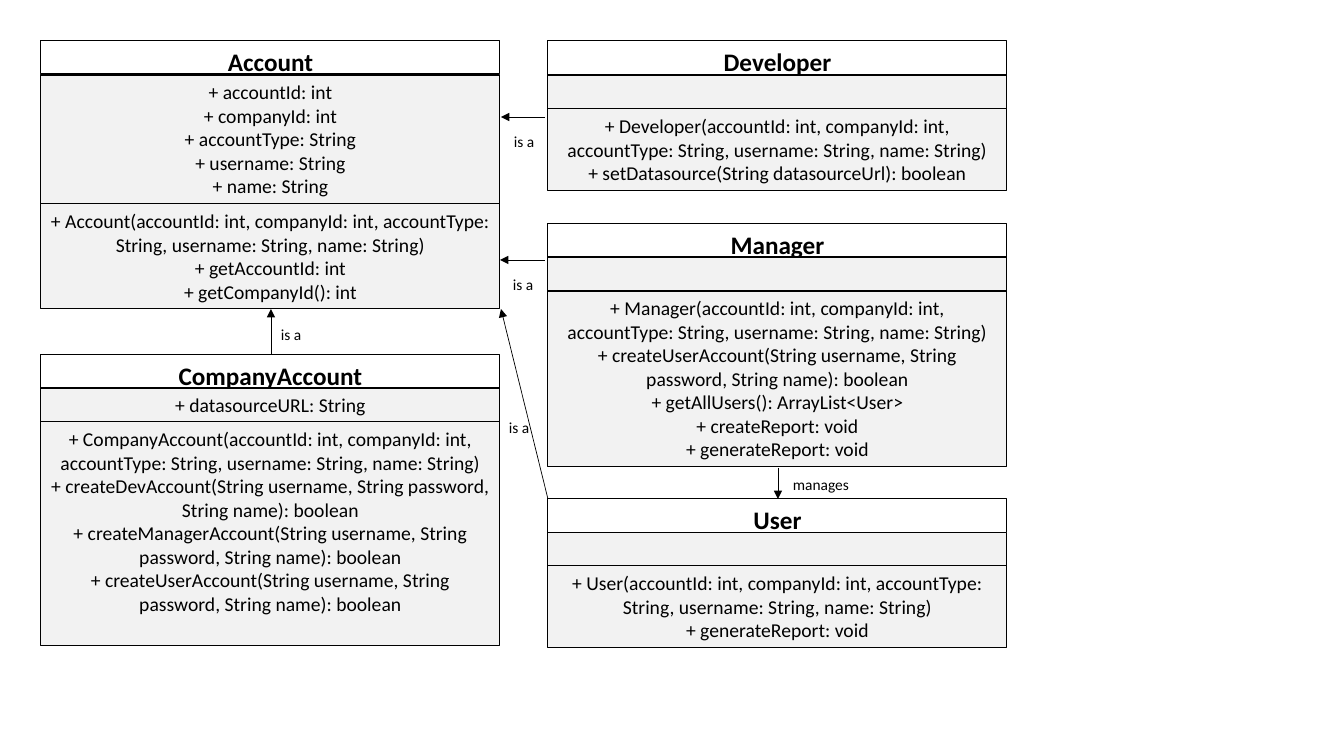
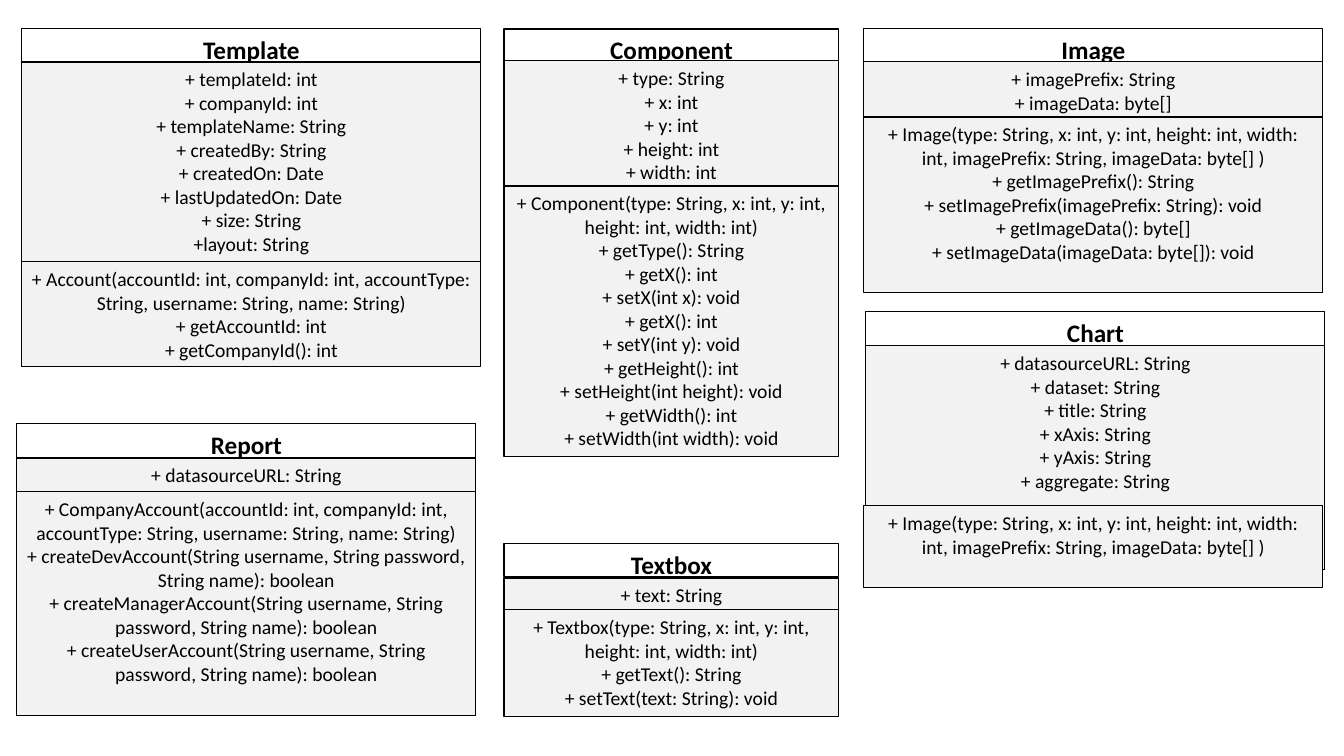
from dataclasses import dataclass

from lxml.etree import SubElement
from pptx import Presentation
from pptx.dml.color import RGBColor
from pptx.enum.shapes import MSO_CONNECTOR as CONN, MSO_SHAPE as SHAPE
from pptx.enum.text import MSO_ANCHOR as ANCHOR, PP_ALIGN as ALIGN
from pptx.oxml.ns import qn
from pptx.util import Emu, Pt

EMU_PER_PX = 914400 / 100.8


def px(n: float) -> Emu:
    return Emu(round(n * EMU_PER_PX))


# Theme
@dataclass(frozen=True)
class Theme:
    font: str = "Calibri"
    ink: RGBColor = RGBColor(0, 0, 0)
    section_fill: RGBColor = RGBColor(0xF2, 0xF2, 0xF2)
    name_size: int = 18
    member_size: int = 14
    label_size: int = 11
    box_line: float = 0.75
    arrow_line: float = 0.5


THEME = Theme()
WIDE, NARROW = 459, 335
LABEL_H = 29


# Diagram elements
@dataclass(frozen=True)
class Section:
    y: int
    h: int
    lines: tuple[str, ...] = ()
    dx: int = 0


@dataclass(frozen=True)
class UmlClass:
    name: str
    x: int
    y: int
    attributes: Section
    operations: Section
    w: int = WIDE
    name_h: int = 40


@dataclass(frozen=True)
class Relation:
    start: tuple[int, int]
    end: tuple[int, int]
    label: str
    label_at: tuple[int, int]
    label_w: int = 41


# Drawing
def add_run(p, text: str, size: int, bold: bool = False) -> None:
    r = p.add_run()
    r.text = text
    r.font.name = THEME.font
    r.font.size = Pt(size)
    r.font.bold = bold
    r.font.color.rgb = THEME.ink


def draw_box(shapes, x: int, y: int, w: int, h: int, lines: tuple[str, ...],
             is_name: bool = False) -> None:
    sp = shapes.add_shape(SHAPE.RECTANGLE, px(x), px(y), px(w), px(h))
    sp.shadow.inherit = False
    if is_name:
        sp.fill.background()
    else:
        sp.fill.solid()
        sp.fill.fore_color.rgb = THEME.section_fill
    sp.line.color.rgb = THEME.ink
    sp.line.width = Pt(THEME.box_line)
    tf = sp.text_frame
    tf.word_wrap = True
    tf.vertical_anchor = ANCHOR.TOP
    size = THEME.name_size if is_name else THEME.member_size
    for i, line in enumerate(lines):
        p = tf.add_paragraph() if i else tf.paragraphs[0]
        p.alignment = ALIGN.CENTER
        add_run(p, line, size, is_name)


def draw_class(s, uml: UmlClass) -> None:
    shapes = s.shapes.add_group_shape().shapes
    draw_box(shapes, uml.x, uml.y, uml.w, uml.name_h, (uml.name,), is_name=True)
    for part in (uml.attributes, uml.operations):
        draw_box(shapes, uml.x + part.dx, part.y, uml.w, part.h, part.lines)


def draw_relation(s, rel: Relation) -> None:
    line = s.shapes.add_connector(CONN.STRAIGHT, *map(px, rel.start + rel.end))
    line.line.color.rgb = THEME.ink
    line.line.width = Pt(THEME.arrow_line)
    SubElement(line.line._get_or_add_ln(), qn("a:tailEnd"), type="triangle")
    SubElement(line._element.spPr, qn("a:effectLst"))
    box = s.shapes.add_textbox(*map(px, rel.label_at + (rel.label_w, LABEL_H)))
    tf = box.text_frame
    tf.word_wrap = True
    tf.margin_right = 0
    add_run(tf.paragraphs[0], rel.label, THEME.label_size)


# Members used by several classes
def account_init(name: str) -> str:
    return (f"+ {name}(accountId: int, companyId: int, accountType: String, "
            "username: String, name: String)")


def create_account(kind: str) -> str:
    return (f"+ create{kind}Account(String username, String password, "
            "String name): boolean")


def component_init(name: str, extra: str = "") -> str:
    return f"+ {name}(type: String, x: int, y: int, height: int, width: int{extra})"


ACCOUNT_OPS = (account_init("Account"), "+ getAccountId: int",
               "+ getCompanyId(): int")
COMPANY_OPS = (account_init("CompanyAccount"),
               *map(create_account, ("Dev", "Manager", "User")))
IMAGE_INIT = component_init("Image", ", imagePrefix: String, imageData: byte[] ")
DATASOURCE = "+ datasourceURL: String"
REPORT_VOID = "+ generateReport: void"

# Slide 1: accounts
ACCOUNTS = (
    UmlClass("Account", 41, 41,
             Section(75, 129, ("+ accountId: int", "+ companyId: int",
                               "+ accountType: String", "+ username: String",
                               "+ name: String")),
             Section(204, 105, ACCOUNT_OPS), name_h=33),
    UmlClass("User", 548, 499, Section(532, 34),
             Section(566, 82, (account_init("User"), REPORT_VOID))),
    UmlClass("CompanyAccount", 41, 355, Section(388, 34, (DATASOURCE,)),
             Section(422, 224, COMPANY_OPS)),
    UmlClass("Developer", 548, 41, Section(75, 34),
             Section(109, 82, (account_init("Developer"),
                               "+ setDatasource(String datasourceUrl): boolean"))),
    UmlClass("Manager", 548, 224, Section(257, 34),
             Section(291, 176, (account_init("Manager"), create_account("User"),
                                "+ getAllUsers(): ArrayList<User>",
                                "+ createReport: void", REPORT_VOID))),
)
RELATIONS = (
    Relation((271, 355), (271, 309), "is a", (271, 320)),
    Relation((545, 117), (501, 117), "is a", (504, 127)),
    Relation((545, 260), (500, 260), "is a", (503, 270)),
    Relation((548, 499), (501, 309), "is a", (499, 413)),
    Relation((778, 468), (778, 499), "manages", (783, 470), 85),
)

# Slide 2: reports and components
COMPONENTS = (
    UmlClass("Template", 22, 29,
             Section(62, 201, ("+ templateId: int", "+ companyId: int",
                               "+ templateName: String", "+ createdBy: String",
                               "+ createdOn: Date", "+ lastUpdatedOn: Date",
                               "+ size: String", "+layout: String")),
             Section(262, 105, ACCOUNT_OPS)),
    UmlClass("Image", 864, 29,
             Section(62, 57, ("+ imagePrefix: String", "+ imageData: byte[]")),
             Section(117, 176, (IMAGE_INIT, "+ getImagePrefix(): String",
                                "+ setImagePrefix(imagePrefix: String): void",
                                "+ getImageData(): byte[]",
                                "+ setImageData(imageData: byte[]): void"))),
    UmlClass("Report", 17, 424, Section(458, 34, (DATASOURCE,)),
             Section(492, 224, COMPANY_OPS)),
    UmlClass("Textbox", 504, 544, Section(578, 34, ("+ text: String",)),
             Section(610, 107, (component_init("Textbox"), "+ getText(): String",
                                "+ setText(text: String): void")),
             w=NARROW, name_h=33),
    UmlClass("Component", 504, 29,
             Section(61, 125, ("+ type: String", "+ x: int", "+ y: int",
                               "+ height: int", "+ width: int")),
             Section(186, 271, (component_init("Component"), "+ getType(): String",
                                "+ getX(): int", "+ setX(int x): void",
                                "+ getX(): int", "+ setY(int y): void",
                                "+ getHeight(): int",
                                "+ setHeight(int height): void",
                                "+ getWidth(): int",
                                "+ setWidth(int width): void")),
             w=NARROW, name_h=39),
    UmlClass("Chart", 866, 312,
             Section(346, 224, (DATASOURCE, "+ dataset: String",
                                "+ title: String", "+ xAxis: String",
                                "+ yAxis: String", "+ aggregate: String")),
             Section(506, 82, (IMAGE_INIT,), dx=-2)),
)

# Presentation
prs = Presentation()
prs.slide_width, prs.slide_height = px(1344), px(756)
blank = prs.slide_layouts[6]
for classes, relations in ((ACCOUNTS, RELATIONS), (COMPONENTS, ())):
    s = prs.slides.add_slide(blank)
    for uml in classes:
        draw_class(s, uml)
    for rel in relations:
        draw_relation(s, rel)
prs.save("out.pptx")
